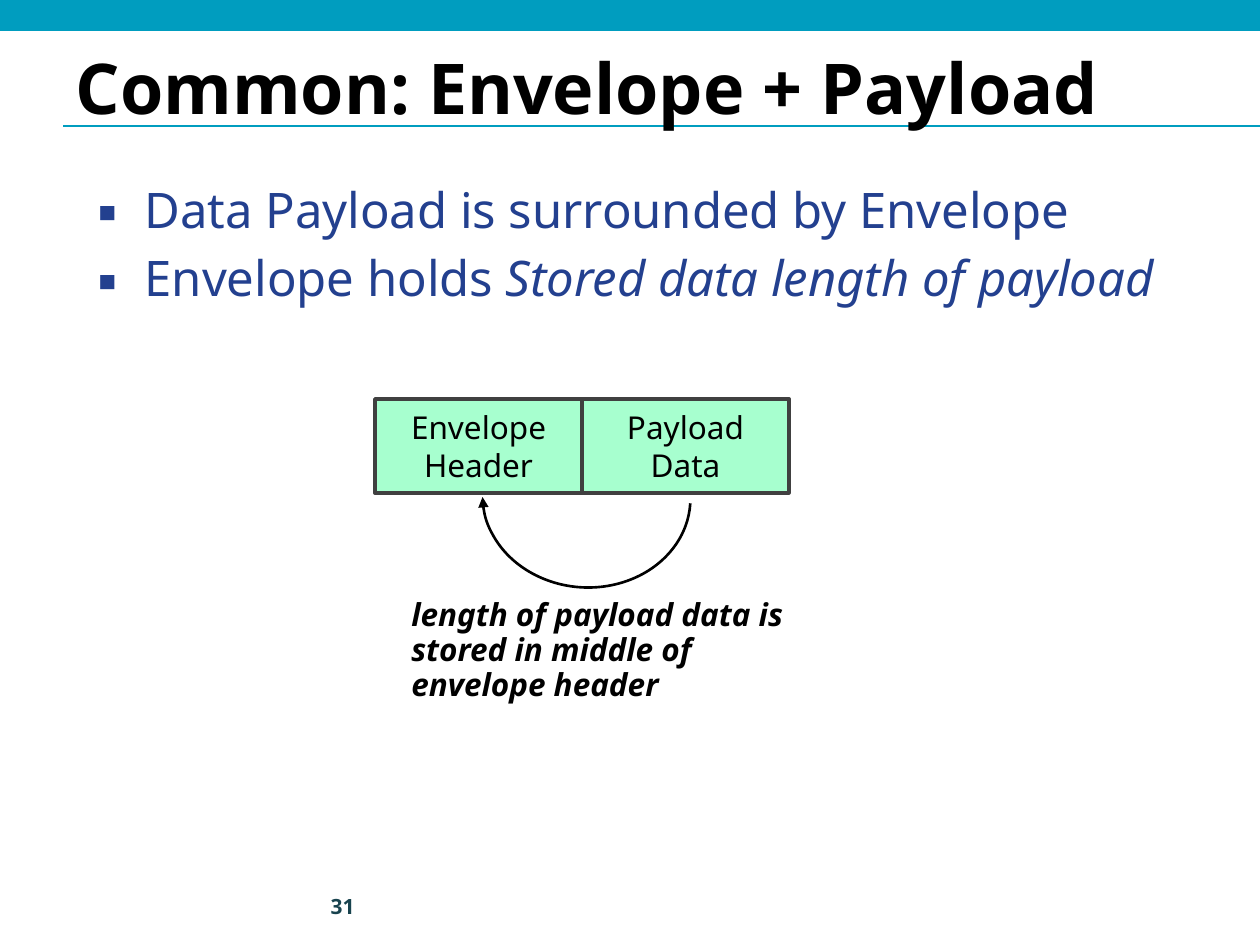
from dataclasses import dataclass

from lxml.etree import SubElement
from pptx import Presentation
from pptx.dml.color import RGBColor
from pptx.enum.shapes import MSO_CONNECTOR, MSO_SHAPE
from pptx.enum.text import MSO_ANCHOR, MSO_AUTO_SIZE, PP_ALIGN
from pptx.oxml.ns import qn
from pptx.util import Emu, Pt

WIDE, HIGH = 1260, 945


@dataclass(frozen=True)
class Theme:
    font: str = "Noto Sans"
    teal: str = "009DBF"
    navy: str = "23408F"
    slate: str = "18434E"
    mint: str = "A7FFCF"
    edge: str = "404040"
    ink: str = "000000"
    title: int = 40
    body: int = 28
    label: int = 18
    number: int = 12


THEME = Theme()


def px(n):
    return Emu(round(n * 914400 / 126))


def rgb(code):
    return RGBColor.from_string(code)


def place(shape, box):
    shape.left, shape.top, shape.width, shape.height = map(px, box)


def write(shape, *paras, size, color, bold=False, italic=False,
          align=PP_ALIGN.LEFT, anchor=MSO_ANCHOR.TOP, lines=None, before=0):
    """Fill a shape with paragraphs; a tuple holds a plain part and an italic part."""
    frame = shape.text_frame
    frame.word_wrap = True
    frame.auto_size = MSO_AUTO_SIZE.NONE
    frame.vertical_anchor = anchor
    for i, para in enumerate(paras):
        p = frame.add_paragraph() if i else frame.paragraphs[0]
        p.alignment = align
        p.space_before = Pt(before)
        if lines:
            p.line_spacing = lines
        parts = para if isinstance(para, tuple) else (para,)
        for j, part in enumerate(parts):
            run = p.add_run()
            run.text = part
            font = run.font
            font.name, font.size, font.bold = THEME.font, Pt(size), bold
            font.italic = italic or j > 0
            font.color.rgb = rgb(color)


def bullet(para, mark, color):
    props = para._p.get_or_add_pPr()
    props.set("marL", str(px(48)))
    props.set("indent", str(-px(47)))
    tint = SubElement(props, qn("a:buClr"))
    SubElement(tint, qn("a:srgbClr"), val=color)
    SubElement(props, qn("a:buFont"), typeface=THEME.font)
    SubElement(props, qn("a:buChar"), char=mark)


def add_shape(slide, kind, box, fill=None, line=None, weight=1):
    shape = slide.shapes.add_shape(kind, *map(px, box))
    shape.shadow.inherit = False
    if fill:
        shape.fill.solid()
        shape.fill.fore_color.rgb = rgb(fill)
    else:
        shape.fill.background()
    if line:
        shape.line.color.rgb = rgb(line)
        shape.line.width = Pt(weight)
    else:
        shape.line.fill.background()
    return shape


def add_text(slide, box, *paras, **style):
    write(slide.shapes.add_textbox(*map(px, box)), *paras, **style)


def add_frame(slide, box):
    """Draw the top band and title rule behind the placeholders."""
    x, y, w, h = box
    band = add_shape(slide, MSO_SHAPE.RECTANGLE, (x, y, w, 31), fill=THEME.teal)
    rule = slide.shapes.add_connector(
        MSO_CONNECTOR.STRAIGHT, px(x + 63), px(y + 126), px(x + w), px(y + 126))
    rule.line.color.rgb = rgb(THEME.teal)
    rule.line.width = Pt(0.75)
    SubElement(rule._element.spPr, qn("a:effectLst"))
    for part in (band, rule):
        slide.shapes._spTree.insert(2, part._element)
    add_text(slide, (x + 290, y + h - 64, 77, 50), "31", size=THEME.number,
             color=THEME.slate, bold=True, align=PP_ALIGN.RIGHT,
             anchor=MSO_ANCHOR.MIDDLE)


def add_title(slide, box, text):
    title = slide.shapes.title
    place(title, box)
    write(title, text, size=THEME.title, color=THEME.ink, bold=True,
          anchor=MSO_ANCHOR.MIDDLE)


def add_list(slide, box, *items):
    body = slide.placeholders[1]
    place(body, box)
    write(body, *items, size=THEME.body, color=THEME.navy, before=5.6)
    for para in body.text_frame.paragraphs:
        bullet(para, "▪", THEME.navy)


def add_packet(slide, box):
    """Draw the two cells, the arc from payload to header, and its caption."""
    x, y, w, _ = box
    cell = w // 2
    for i, paras in enumerate((["Envelope Header"], ["Payload", "Data"])):
        shape = add_shape(slide, MSO_SHAPE.RECTANGLE, (x + i * cell, y, cell, 94),
                          fill=THEME.mint, line=THEME.edge, weight=2)
        write(shape, *paras, size=THEME.label, color=THEME.ink,
              align=PP_ALIGN.CENTER, anchor=MSO_ANCHOR.MIDDLE)
    arc = add_shape(slide, MSO_SHAPE.ARC, (x + 121, y - 6, 181, 208),
                    line=THEME.ink, weight=1.5)
    arc.adjustments[0], arc.adjustments[1] = 162, 51.885
    arc.rotation = 93.5
    SubElement(arc.line._get_or_add_ln(), qn("a:tailEnd"), type="triangle")
    add_text(slide, (x + 24, y + 193, 431, 120),
             "length of payload data is stored in middle of envelope header",
             size=THEME.label, color=THEME.ink, bold=True, italic=True, lines=0.93)


def main():
    deck = Presentation()
    deck.slide_width, deck.slide_height = px(WIDE), px(HIGH)
    slide = deck.slides.add_slide(deck.slide_layouts[1])
    add_frame(slide, (0, 0, WIDE, HIGH))
    add_title(slide, (63, 48, 1134, 78), "Common: Envelope + Payload")
    add_list(slide, (84, 173, 1134, 661),
             "Data Payload is surrounded by Envelope",
             ("Envelope holds ", "Stored data length of payload"))
    add_packet(slide, (375, 399, 414, 313))
    deck.save("out.pptx")


if __name__ == "__main__":
    main()
